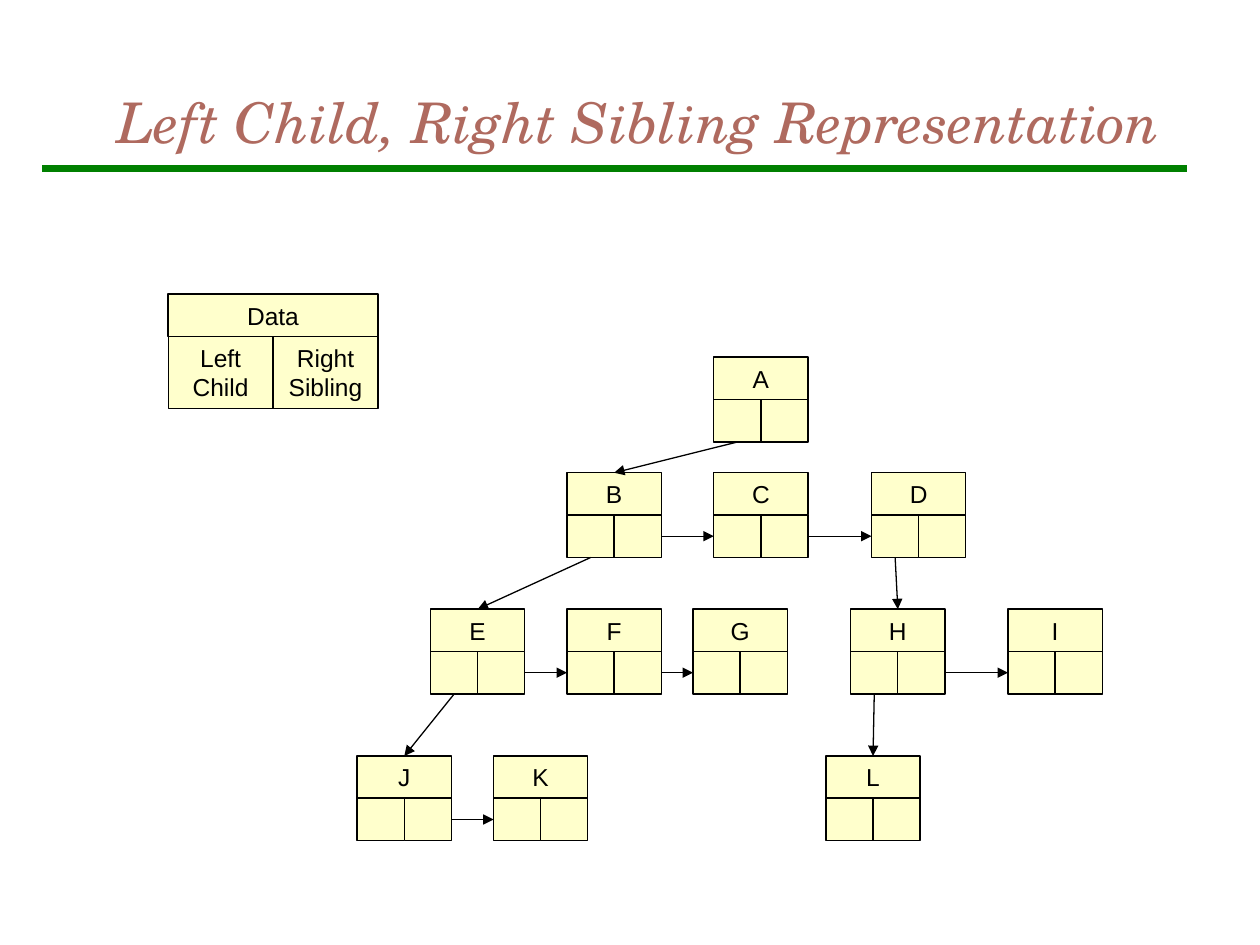
from dataclasses import dataclass

from lxml import etree
from pptx import Presentation
from pptx import util as u
from pptx.dml.color import RGBColor
from pptx.enum import shapes, text
from pptx.oxml.ns import qn


@dataclass(frozen=True)
class Theme:
    title_font: str = "TeX Gyre Schola"
    body_font: str = "Arial"
    title_size: int = 32
    body_size: int = 14
    title_color: str = "AF6A5F"
    rule_color: str = "008000"
    cell_color: str = "FFFFCC"
    ink: str = "000000"
    rule_width: float = 4
    line_width: float = 0.75


# Connection sites of a rectangle
TOP, LEFT, BOTTOM, RIGHT = range(4)


class SlideBuilder:
    def __init__(self, page, theme):
        self.page = page
        self.theme = theme

    def add_span(self, para, words, font, size, color, italic=False):
        span = para.add_run()
        span.text = words
        span.font.name = font
        span.font.size = u.Pt(size)
        span.font.italic = italic
        span.font.color.rgb = RGBColor.from_string(color)

    def title(self, words, left, top, width, height):
        box = self.page.shapes.add_textbox(
            u.Cm(left), u.Cm(top), u.Cm(width), u.Cm(height))
        frame = box.text_frame
        frame.word_wrap = True
        frame.vertical_anchor = text.MSO_ANCHOR.MIDDLE
        self.add_span(frame.paragraphs[0], words, self.theme.title_font,
                      self.theme.title_size, self.theme.title_color, italic=True)

    def line(self, start, end, color, width):
        connector = self.page.shapes.add_connector(
            shapes.MSO_CONNECTOR.STRAIGHT, *map(u.Cm, (*start, *end)))
        connector.line.color.rgb = RGBColor.from_string(color)
        connector.line.width = u.Pt(width)
        etree.SubElement(connector._element.spPr, qn("a:effectLst"))
        return connector

    def arrow(self, source, source_site, target, target_site):
        connector = self.line((0, 0), (0, 0), self.theme.ink, self.theme.line_width)
        connector.begin_connect(source, source_site)
        connector.end_connect(target, target_site)
        etree.SubElement(connector.line._get_or_add_ln(), qn("a:tailEnd"),
                         type="triangle")

    def cell(self, group, words, left, top, width, height):
        box = group.shapes.add_shape(
            shapes.MSO_SHAPE.RECTANGLE, *map(u.Cm, (left, top, width, height)))
        box.shadow.inherit = False
        box.fill.solid()
        box.fill.fore_color.rgb = RGBColor.from_string(self.theme.cell_color)
        box.line.color.rgb = RGBColor.from_string(self.theme.ink)
        box.line.width = u.Pt(self.theme.line_width)
        if words:
            box.text_frame.vertical_anchor = text.MSO_ANCHOR.MIDDLE
            para = box.text_frame.paragraphs[0]
            para.alignment = text.PP_ALIGN.CENTER
            self.add_span(para, words, self.theme.body_font,
                          self.theme.body_size, self.theme.ink)
        return box

    def node(self, data, left, top, width=1.9, link_height=0.86, links=("", "")):
        """Draw a data cell over two link cells; return all three."""
        group = self.page.shapes.add_group_shape()
        head, half = 0.85, width / 2
        return (
            self.cell(group, data, left, top, width, head),
            self.cell(group, links[0], left, top + head, half, link_height),
            self.cell(group, links[1], left + half, top + head, half, link_height),
        )


# Each level: top edge, then the left edge of every node
LEVELS = [
    (7.2, {"A": 14.39}),
    (9.53, {"B": 11.43, "C": 14.39, "D": 17.57}),
    (12.28, {"E": 8.68, "F": 11.43, "G": 13.97, "H": 17.15, "I": 20.32}),
    (15.24, {"J": 7.2, "K": 9.95, "L": 16.65}),
]
CHILDREN = ["AB", "BE", "EJ", "DH", "HL"]
SIBLINGS = ["BC", "CD", "EF", "FG", "HI", "JK"]


def main():
    deck = Presentation()
    deck.slide_width, deck.slide_height = u.Cm(25.4), u.Cm(19.05)
    theme = Theme()
    builder = SlideBuilder(deck.slides.add_slide(deck.slide_layouts[6]), theme)

    # Heading
    builder.line((0.85, 3.39), (23.92, 3.39), theme.rule_color, theme.rule_width)
    builder.title("Left Child, Right Sibling Representation", 2.12, 0.85, 23.28, 3.18)

    # Legend
    builder.node("Data", 3.39, 5.93, width=4.23, link_height=1.45,
                 links=("Left Child", "Right Sibling"))

    # Tree nodes
    nodes = {name: builder.node(name, left, top)
             for top, level in LEVELS for name, left in level.items()}

    # Links to the first child and to the next sibling
    for parent, child in CHILDREN:
        builder.arrow(nodes[parent][1], BOTTOM, nodes[child][0], TOP)
    for node, sibling in SIBLINGS:
        builder.arrow(nodes[node][2], RIGHT, nodes[sibling][1], LEFT)

    deck.save("out.pptx")


if __name__ == "__main__":
    main()
